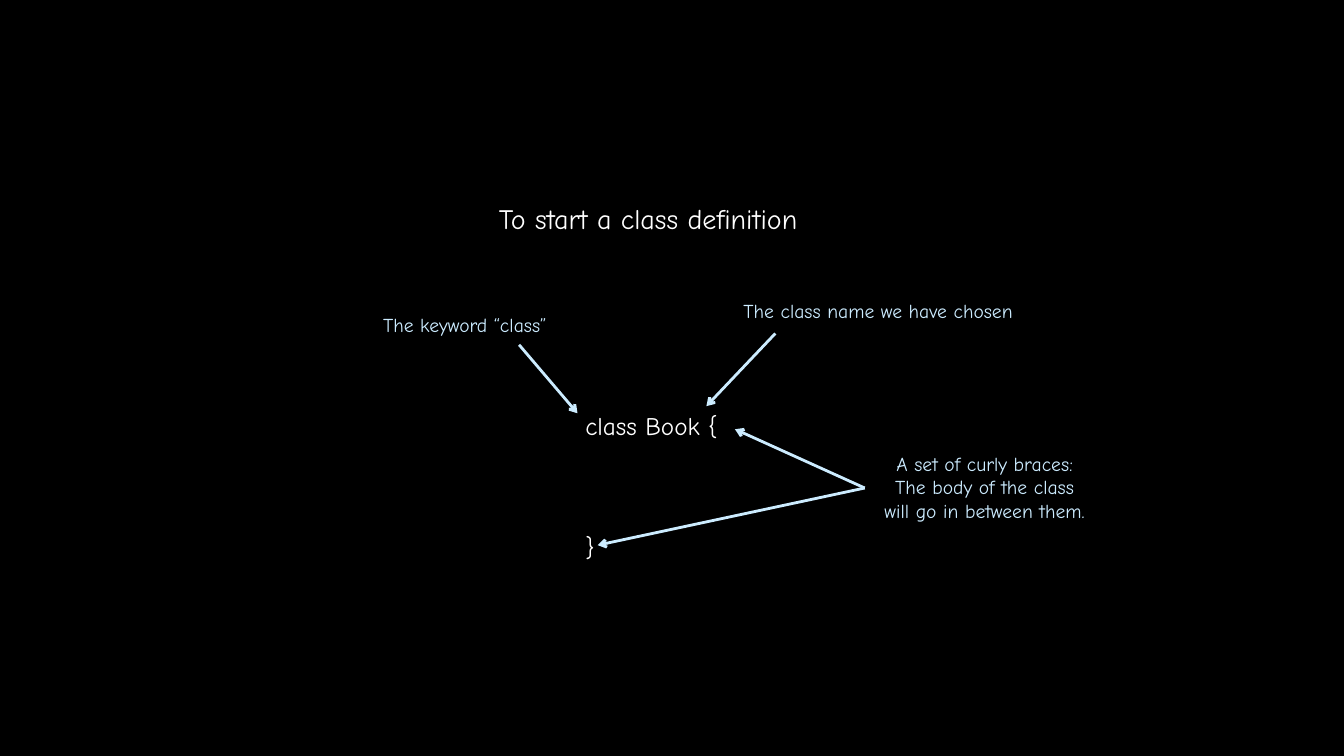
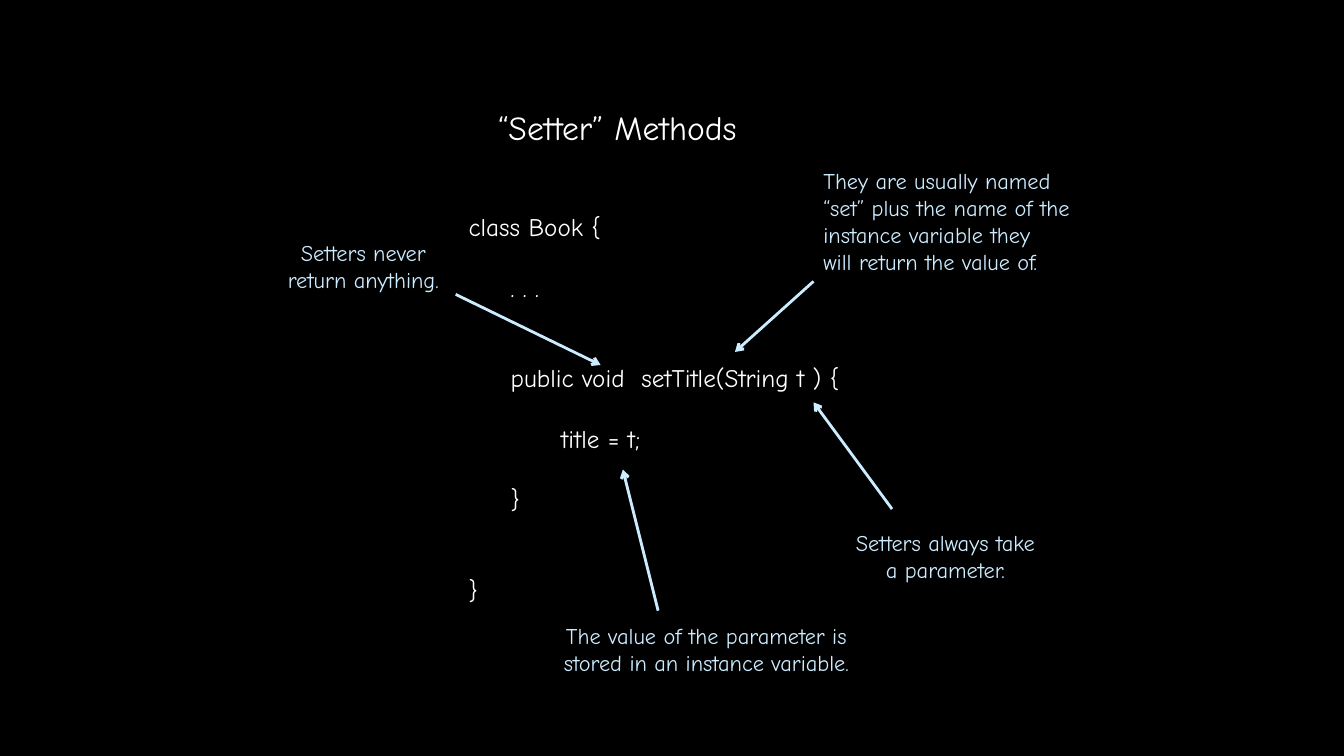
import pptx
import pptx.dml.color
import pptx.enum.shapes
import pptx.enum.text
import pptx.oxml
import pptx.oxml.ns
import pptx.util

BLACK = pptx.dml.color.RGBColor(0x00, 0x00, 0x00)
WHITE = pptx.dml.color.RGBColor(0xFF, 0xFF, 0xFF)
SKY = pptx.dml.color.RGBColor(0xCC, 0xEC, 0xFF)
FONT = "Comic Neue"
WIDE, HIGH = pptx.util.Inches(13.333), pptx.util.Inches(7.5)
COLS, ROWS = 32, 18
CODE = 18
LINE = 1.2 * CODE
LEFT = pptx.enum.text.PP_ALIGN.LEFT
MID = pptx.enum.text.PP_ALIGN.CENTER


def place(base, spot):
    """Turn a grid spot, counted from a base corner, into slide lengths."""
    col, row = base[0] + spot[0], base[1] + spot[1]
    return round(col * WIDE / COLS), round(row * HIGH / ROWS)


def write(par, text, size, color, align=LEFT):
    """Add one styled run to a paragraph."""
    par.alignment = align
    run = par.add_run()
    run.text = text
    run.font.name = FONT
    run.font.size = pptx.util.Pt(size)
    run.font.color.rgb = color


def label(slide, base, box, lines, size, color, align=LEFT):
    """Place a text box of (blank rows above, text) lines."""
    shape = slide.shapes.add_textbox(*place(base, box[:2]), *place((0, 0), box[2:]))
    frame = shape.text_frame
    frame.word_wrap = False
    frame.auto_size = pptx.enum.text.MSO_AUTO_SIZE.SHAPE_TO_FIT_TEXT
    for num, (gap, text) in enumerate(lines):
        par = frame.add_paragraph() if num else frame.paragraphs[0]
        if gap:
            par.space_before = pptx.util.Pt(gap * LINE)
        write(par, text, size, color, align)


def arrow(slide, base, start, end):
    """Draw an arrow between two grid spots."""
    kind = pptx.enum.shapes.MSO_CONNECTOR.STRAIGHT
    link = slide.shapes.add_connector(kind, *place(base, start), *place(base, end))
    link.line.color.rgb = SKY
    link.line.width = pptx.util.Pt(2)
    space = pptx.oxml.ns.nsdecls("a")
    stroke = link.line._get_or_add_ln()
    stroke.append(pptx.oxml.parse_xml(f'<a:tailEnd {space} type="arrow"/>'))
    stroke.addnext(pptx.oxml.parse_xml(f"<a:effectLst {space}/>"))


def start(deck, text, box, size):
    """Add a slide and set its title."""
    slide = deck.slides.add_slide(deck.slide_layouts[5])
    title = slide.shapes.title
    title.left, title.top = place((0, 0), box[:2])
    title.width, title.height = place((0, 0), box[2:])
    frame = title.text_frame
    frame.word_wrap = True
    frame.auto_size = pptx.enum.text.MSO_AUTO_SIZE.NONE
    frame.vertical_anchor = pptx.enum.text.MSO_ANCHOR.TOP
    write(frame.paragraphs[0], text, size, WHITE)
    return slide


def chart(slide, base, code, notes, size):
    """Place code with its notes and arrows, counted from a base corner."""
    box, lines = code
    label(slide, base, box, lines, CODE, WHITE)
    for area, align, texts, tail, tips in notes:
        label(slide, base, area, [(0, text) for text in texts], size, SKY, align)
        for tip in tips:
            arrow(slide, base, tail, tip)


def opening(deck):
    """Build the slide on starting a class."""
    slide = start(deck, "To start a class definition", (11.64, 4.68, 8.66, 1.06), 20)
    code = (5.7, 2.65, 3.79, 3.89), [(0, "class Book {"), (3, "}")]
    notes = [
        ((0.62, 0.34, 4.9, 0.82), MID, ["The keyword “class”"],
         (4.36, 1.21), [(5.75, 2.84)]),
        ((9.26, 0.01, 7.3, 0.82), MID, ["The class name we have chosen"],
         (10.46, 0.94), [(8.82, 2.67)]),
        ((12.59, 3.63, 5.71, 1.94), MID,
         ["A set of curly braces:", "The body of the class",
          "will go in between them."],
         (12.59, 4.62), [(9.5, 3.22), (6.23, 5.98)]),
    ]
    chart(slide, (8, 7), code, notes, 14)


def setters(deck):
    """Build the slide on setter methods."""
    slide = start(deck, "“Setter” Methods", (11.62, 2.42, 7.25, 1.2), 24)
    code = (4.92, 1.92, 10.3, 9.7), [
        (0, "class Book {"),
        (1, "     . . ."),
        (2, "     public void  setTitle(String t ) {"),
        (1, "           title = t;"),
        (1, "     }"),
        (2, "}"),
    ]
    notes = [
        ((0.38, 2.57, 4.54, 1.54), MID, ["Setters never", "return anything."],
         (4.85, 4.01), [(8.3, 5.69)]),
        ((13.37, 0.86, 7.03, 2.83), LEFT,
         ["They are usually named", "“set” plus the name of the",
          "instance variable they", "will return the value of."],
         (13.37, 3.7), [(11.5, 5.38)]),
        ((13.75, 9.48, 5.52, 1.54), MID, ["Setters always take", "a parameter."],
         (15.24, 9.12), [(13.37, 6.58)]),
        ((6.82, 11.69, 8, 1.54), MID,
         ["The value of the parameter is", "stored in an instance variable."],
         (9.67, 11.54), [(8.83, 8.18)]),
    ]
    chart(slide, (6, 3), code, notes, 16)


def main():
    """Build and save the deck."""
    deck = pptx.Presentation()
    deck.slide_width, deck.slide_height = WIDE, HIGH
    fill = deck.slide_master.background.fill
    fill.solid()
    fill.fore_color.rgb = BLACK
    opening(deck)
    setters(deck)
    deck.save("out.pptx")


if __name__ == "__main__":
    main()
